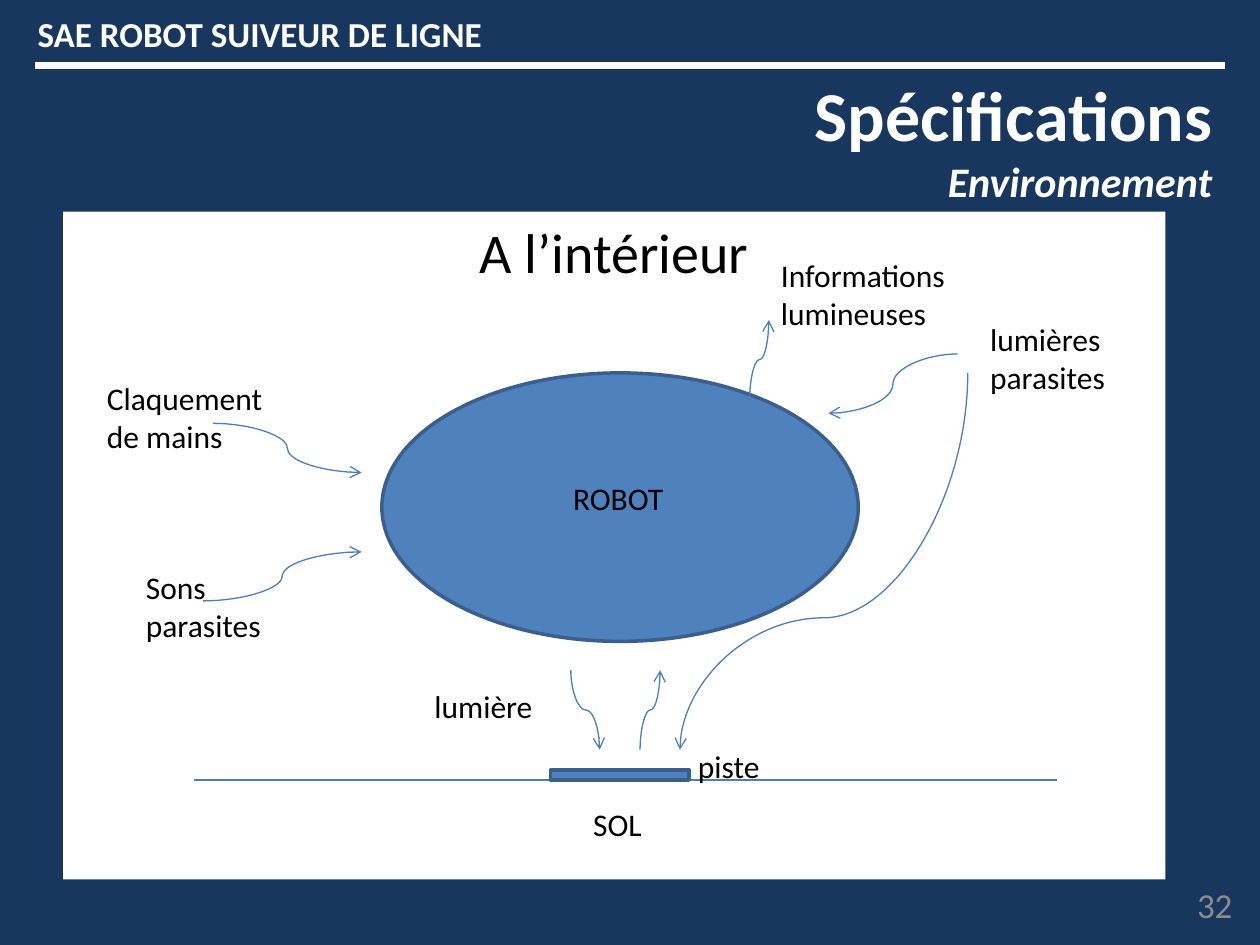
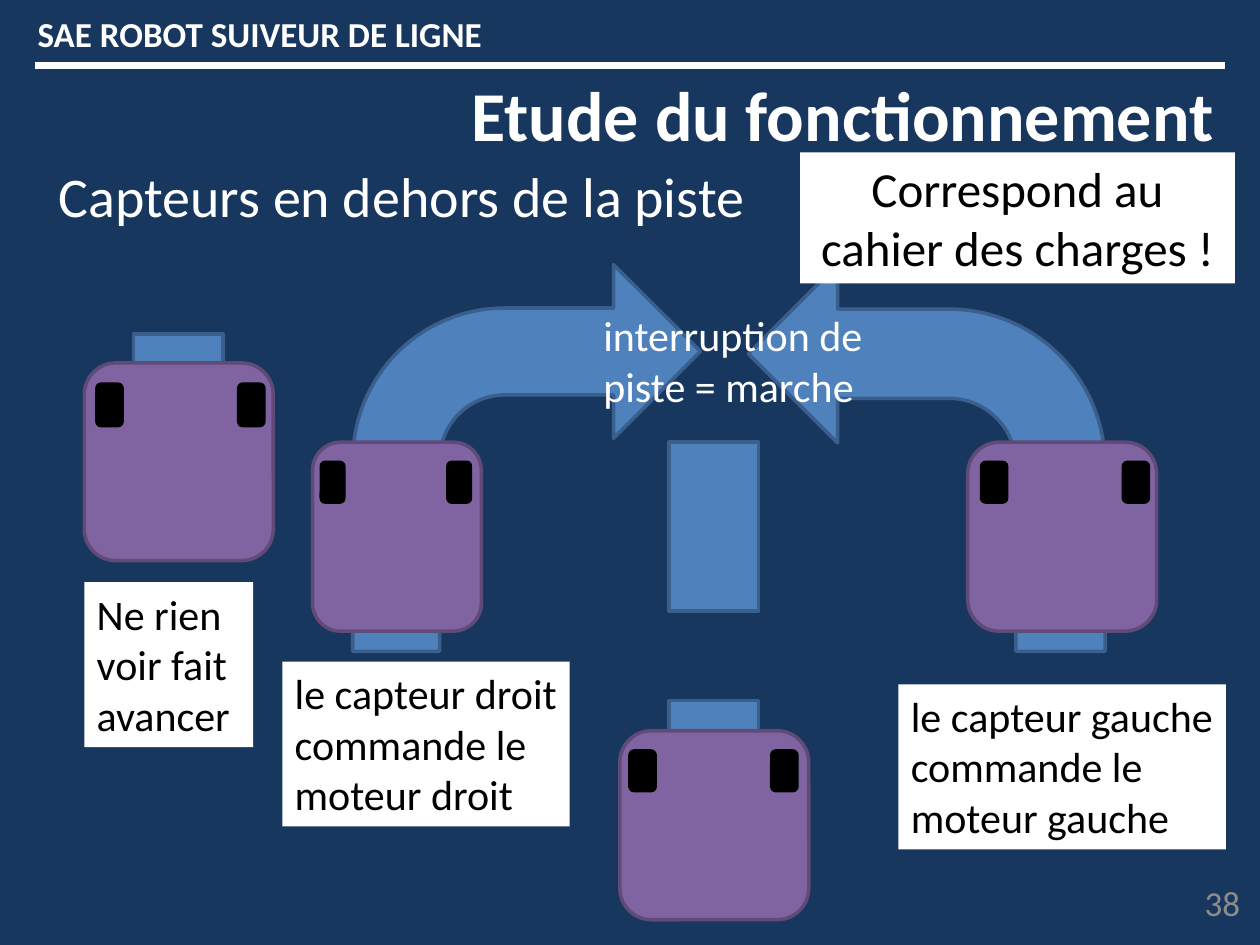
from dataclasses import dataclass

from lxml.etree import SubElement
from pptx import Presentation
from pptx.dml.color import RGBColor
from pptx.enum.shapes import MSO_CONNECTOR as Link, MSO_SHAPE as Form
from pptx.enum.text import MSO_ANCHOR as Anchor, PP_ALIGN as Align
from pptx.oxml.ns import qn
from pptx.util import Pt

FONT = "Calibri"
NAVY, WHITE, BLACK, GREY = "17375E", "FFFFFF", "000000", "8C8C8C"
BLUE, BLUE_EDGE, BLUE_LINE = "4F81BD", "3A5F8C", "4B7EBC"
PURPLE, PURPLE_EDGE = "8064A2", "5F4A78"


@dataclass(frozen=True)
class Box:
    """A rectangle on the page, in points."""
    left: float
    top: float
    width: float
    height: float

    def lengths(self) -> tuple:
        """Return the four lengths for a python-pptx call."""
        return Pt(self.left), Pt(self.top), Pt(self.width), Pt(self.height)


@dataclass(frozen=True)
class Style:
    """The look of one paragraph."""
    size: float
    color: str = BLACK
    bold: bool = False
    italic: bool = False
    align: Align = Align.LEFT


@dataclass(frozen=True)
class Note:
    """A text with its box and style."""
    text: str
    box: Box
    style: Style


@dataclass(frozen=True)
class Flow:
    """A curved arrow; a vertical one leaves and arrives vertically."""
    start: tuple[float, float]
    end: tuple[float, float]
    vertical: bool = False
    bend: float = 0.5


@dataclass(frozen=True)
class Robot:
    """A robot body and the inset of its left sensor."""
    body: Box
    inset: float


LABEL = Style(18)
CAPTION = Style(24)
HEADING = Style(32, align=Align.CENTER)
TITLE = Style(40, WHITE, bold=True, align=Align.RIGHT)
SUBTITLE = Style(24, WHITE, bold=True, italic=True, align=Align.RIGHT)
BANNER = Style(20, WHITE, bold=True)
NUMBER = Style(20, GREY, align=Align.RIGHT)

ENVIRONMENT_LABELS = [
    Note("ROBOT", Box(320.4, 270, 85, 28.8), LABEL),
    Note("lumières parasites", Box(558.7, 179.3, 96.5, 51.1), LABEL),
    Note("lumière", Box(241.2, 388.8, 77, 28.8), LABEL),
    Note("Claquement de mains", Box(54, 213.1, 113, 51.1), LABEL),
    Note("Sons parasites", Box(76.3, 321.1, 96.5, 51.1), LABEL),
    Note("SOL", Box(331.9, 456.5, 79.2, 28.8), LABEL),
    Note("piste", Box(391.7, 423.4, 64.1, 28.8), LABEL),
    Note("Informations lumineuses", Box(439.2, 142.6, 120.2, 51.1), LABEL),
]
FLOWS = [
    Flow((326.2, 383), (342.7, 428.4), vertical=True),
    Flow((365.8, 428.4), (377.3, 383), vertical=True),
    Flow((547.2, 202.3), (473.4, 236.2)),
    Flow((553, 213.1), (388.5, 428.4), vertical=True, bend=0.65),
    Flow((121.7, 241.9), (206.6, 270)),
    Flow((115.9, 343.4), (206.6, 315.4)),
    Flow((428.4, 228.2), (439.4, 182.9), vertical=True),
]

TRACK_WIDTH, TRACK_HEIGHT = 51.1, 96.5
TRACK_CORNERS = [(76.3, 190.8), (382.3, 252.7), (382.3, 400.3)]
ROBOTS = [
    Robot(Box(48.2, 207.4, 108, 113), 7.2),
    Robot(Box(178.6, 252.7, 96.5, 108), 5),
    Robot(Box(553, 252.7, 108, 108), 7.9),
    Robot(Box(354.2, 417.6, 108, 108), 5.8),
]
CARDS = [
    Note("Ne rien voir fait avancer", Box(48.2, 332.6, 96.5, 94.3), CAPTION),
    Note("le capteur droit commande le moteur droit",
         Box(161.3, 378, 164.2, 94.3), CAPTION),
    Note("le capteur gauche commande le moteur gauche",
         Box(513.4, 391, 187.2, 94.3), CAPTION),
    Note("Correspond au cahier des charges !", Box(457.2, 87.1, 248.4, 74.9),
         Style(28, align=Align.CENTER)),
]


def color(value: str) -> RGBColor:
    """Turn a hex string into a colour."""
    return RGBColor.from_string(value)


def write(frame, lines: list[tuple[str, Style]], anchor=Anchor.TOP, wrap: bool = True) -> None:
    """Write styled paragraphs into a text frame."""
    frame.text = "\n".join(text for text, _ in lines)
    frame.word_wrap = wrap
    frame.vertical_anchor = anchor
    for para, (_, style) in zip(frame.paragraphs, lines):
        para.alignment = style.align
        for span in para.runs:
            font = span.font
            font.name, font.size = FONT, Pt(style.size)
            font.bold, font.italic = style.bold, style.italic
            font.color.rgb = color(style.color)


def add_text(page, note: Note, anchor=Anchor.TOP, wrap: bool = True) -> None:
    """Add a text box holding one note."""
    box = page.shapes.add_textbox(*note.box.lengths())
    write(box.text_frame, [(note.text, note.style)], anchor, wrap)


def add_form(shapes, form: Form, box: Box, fill: str, edge: str | None = None):
    """Add a filled preset shape, outlined when an edge colour is given."""
    shape = shapes.add_shape(form, *box.lengths())
    shape.shadow.inherit = False
    shape.fill.solid()
    shape.fill.fore_color.rgb = color(fill)
    if edge:
        shape.line.color.rgb = color(edge)
        shape.line.width = Pt(2)
    else:
        shape.line.fill.background()
    return shape


def add_card(page, note: Note) -> None:
    """Add a white rectangle holding one note."""
    card = add_form(page.shapes, Form.RECTANGLE, note.box, WHITE)
    write(card.text_frame, [(note.text, note.style)])


def add_link(page, kind: Link, start: tuple, end: tuple, stroke: str, width: float):
    """Add a connector without a shadow."""
    link = page.shapes.add_connector(kind, *map(Pt, (*start, *end)))
    link.line.color.rgb = color(stroke)
    link.line.width = Pt(width)
    SubElement(link.element.spPr, qn("a:effectLst"))
    return link


def add_flow(page, flow: Flow) -> None:
    """Add a curved arrow, turned a quarter when it runs vertically."""
    (x1, y1), (x2, y2) = start, end = flow.start, flow.end
    if flow.vertical:
        mid_x, mid_y = (x1 + x2) / 2, (y1 + y2) / 2
        half_x, half_y = (x2 - x1) / 2, (y2 - y1) / 2
        start = mid_x - half_y, mid_y + half_x
        end = mid_x + half_y, mid_y - half_x
    link = add_link(page, Link.CURVE, start, end, BLUE_LINE, 0.75)
    properties = link.element.spPr
    if flow.vertical:
        properties.find(qn("a:xfrm")).set("rot", str(90 * 60000))
    guides = properties.find(qn("a:prstGeom")).find(qn("a:avLst"))
    SubElement(guides, qn("a:gd"), name="adj1", fmla=f"val {round(flow.bend * 100000)}")
    SubElement(properties.find(qn("a:ln")), qn("a:tailEnd"), type="arrow")


def add_robot(page, robot: Robot) -> None:
    """Add a grouped robot: a body with two sensors."""
    body = robot.body
    group = page.shapes.add_group_shape()
    add_form(group.shapes, Form.ROUNDED_RECTANGLE, body, PURPLE, PURPLE_EDGE)
    for shift in (0, 0.75 * body.width):
        sensor = Box(body.left + robot.inset + shift, body.top + 0.107 * body.height,
                     0.133 * body.width, 0.21 * body.height)
        add_form(group.shapes, Form.ROUNDED_RECTANGLE, sensor, BLACK, BLACK)


def add_page(deck, title_box: Box, titles: list[tuple[str, Style]], number: Note):
    """Add a page with background, banner, title and page number."""
    page = deck.slides.add_slide(deck.slide_layouts[6])
    page.background.fill.solid()
    page.background.fill.fore_color.rgb = color(NAVY)
    title = page.shapes.add_textbox(*title_box.lengths())
    write(title.text_frame, titles, wrap=False)
    add_link(page, Link.STRAIGHT, (20.2, 37.4), (699.8, 37.4), WHITE, 4)
    banner = Note("SAE ROBOT SUIVEUR DE LIGNE", Box(14.4, 3.6, 270.7, 31.7), BANNER)
    add_text(page, banner, wrap=False)
    add_text(page, number, Anchor.MIDDLE)
    return page


def build_environment(deck) -> None:
    """Build the page on the robot's surroundings."""
    page = add_page(deck, Box(455, 37.4, 244.8, 85),
                    [("Spécifications", TITLE), ("Environnement", SUBTITLE)],
                    Note("32", Box(543.6, 502.6, 167.8, 28.8), NUMBER))
    add_card(page, Note("A l’intérieur", Box(36, 121, 630, 381.6), HEADING))
    add_form(page.shapes, Form.OVAL, Box(218.2, 213.1, 272.2, 153.4), BLUE, BLUE_EDGE)
    add_link(page, Link.STRAIGHT, (110.9, 445.7), (604.1, 445.7), BLUE_LINE, 0.75)
    add_form(page.shapes, Form.RECTANGLE, Box(314.6, 439.9, 79.2, 5.8), BLUE, BLUE_EDGE)
    for flow in FLOWS:
        add_flow(page, flow)
    for label in ENVIRONMENT_LABELS:
        add_text(page, label)


def build_operation(deck) -> None:
    """Build the page on sensors that have left the track."""
    page = add_page(deck, Box(257, 37.4, 443.5, 55.4),
                    [("Etude du fonctionnement", TITLE)],
                    Note("38", Box(547.9, 501.1, 167.8, 28.8), NUMBER))
    add_form(page.shapes, Form.BENT_ARROW, Box(201.6, 151.2, 198.7, 221), BLUE, BLUE_EDGE)
    left_turn = add_form(page.shapes, Form.BENT_ARROW, Box(427.7, 151.2, 203.8, 221),
                         BLUE, BLUE_EDGE)
    left_turn.element.spPr.find(qn("a:xfrm")).set("flipH", "1")
    for left, top in TRACK_CORNERS:
        track = Box(left, top, TRACK_WIDTH, TRACK_HEIGHT)
        add_form(page.shapes, Form.RECTANGLE, track, BLUE, BLUE_EDGE)
    for robot in ROBOTS:
        add_robot(page, robot)
    add_text(page, Note("Capteurs en dehors de la piste", Box(8.6, 88.6, 442.1, 51.1),
                        Style(32, WHITE, align=Align.CENTER)))
    add_text(page, Note("interruption de piste = marche", Box(337.7, 173.5, 187.2, 65.5),
                        Style(24, WHITE)))
    for card in CARDS:
        add_card(page, card)


def main() -> None:
    """Build and save the deck."""
    deck = Presentation()
    deck.slide_width, deck.slide_height = Pt(720), Pt(540)
    build_environment(deck)
    build_operation(deck)
    deck.save("out.pptx")


if __name__ == "__main__":
    main()
